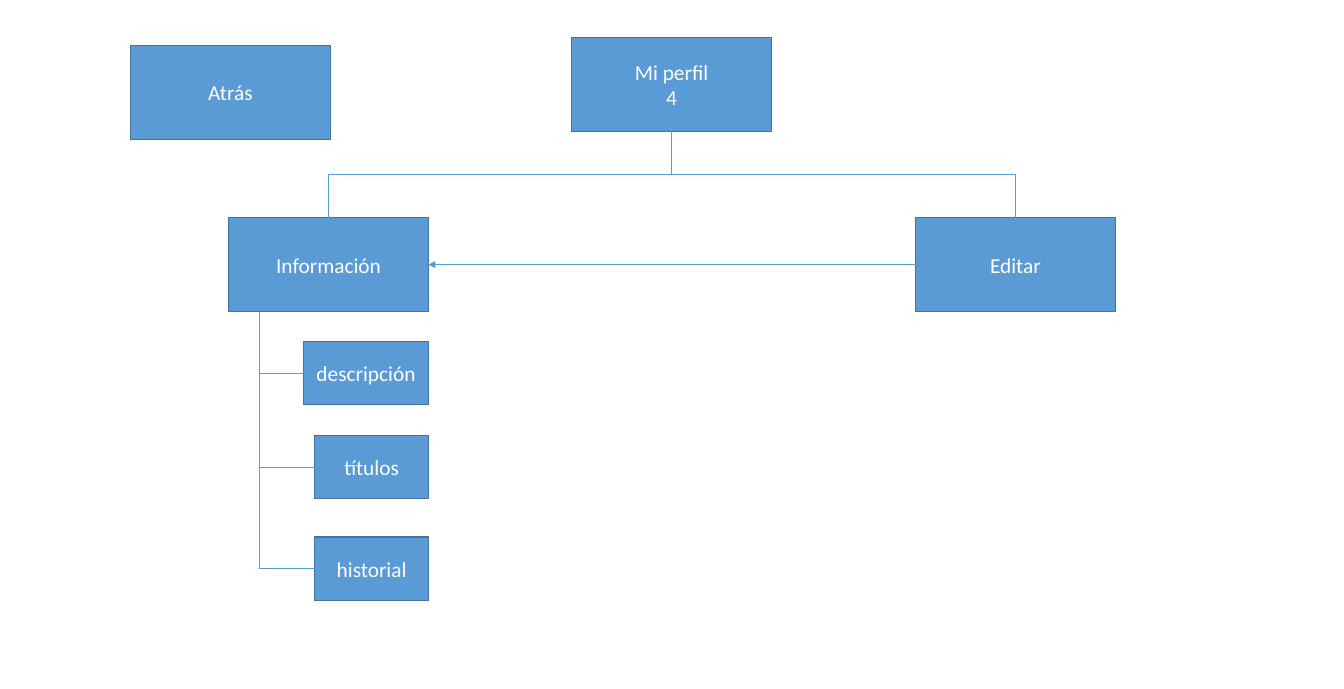
from lxml.etree import SubElement
from pptx import Presentation
from pptx.dml.color import RGBColor
from pptx.enum.shapes import MSO_CONNECTOR, MSO_SHAPE
from pptx.enum.text import MSO_ANCHOR, PP_ALIGN
from pptx.oxml.ns import qn
from pptx.util import Inches, Pt

COLOURS = {"fill": "5B9BD5", "border": "43739E", "text": "FFFFFF"}
TEXT_FORMAT = {"name": "Calibri", "size": Pt(18)}
TOP, BOTTOM_SITE, LEFT_SITE, RIGHT_SITE = 0, 2, 1, 3
SCREEN_SIZE = (2.34, 1.1)
DETAIL_RIGHT, DETAIL_HEIGHT = 5.02, 0.74
TRUNK_X = 3.04
DETAILS = [("descripción", 4, 1.46), ("títulos", 5.1, 1.33), ("historial", 6.29, 1.33)]


def colour(name):
    """Return the named colour."""
    return RGBColor.from_string(COLOURS[name])


def add_box(page, lines, left, top, width, height):
    """Add a blue box with centred lines of text."""
    box = page.shapes.add_shape(
        MSO_SHAPE.RECTANGLE, Inches(left), Inches(top), Inches(width), Inches(height))
    box.shadow.inherit = False
    box.fill.solid()
    box.fill.fore_color.rgb = colour("fill")
    box.line.color.rgb = colour("border")
    box.line.width = Pt(1)
    frame = box.text_frame
    frame.word_wrap = True
    frame.vertical_anchor = MSO_ANCHOR.MIDDLE
    for index, text in enumerate(lines):
        para = frame.add_paragraph() if index else frame.paragraphs[0]
        para.alignment = PP_ALIGN.CENTER
        span = para.add_run()
        span.text = text
        for key, value in TEXT_FORMAT.items():
            setattr(span.font, key, value)
        span.font.color.rgb = colour("text")
    return box


def add_link(page, left=0, top=0):
    """Add a thin elbow connector starting at a point."""
    x, y = Inches(left), Inches(top)
    link = page.shapes.add_connector(MSO_CONNECTOR.ELBOW, x, y, x, y)
    link.line.color.rgb = colour("fill")
    link.line.width = Pt(0.5)
    SubElement(link._element.spPr, qn("a:effectLst"))
    return link


def turn_downward(link):
    """Rotate a connector so that it leaves its start downward."""
    across, down = link.end_x - link.begin_x, link.end_y - link.begin_y
    middle_x, middle_y = link.begin_x + across // 2, link.begin_y + down // 2
    link.width, link.height = down, abs(across)
    link.left, link.top = middle_x - down // 2, middle_y - abs(across) // 2
    transform = link._element.spPr.find(qn("a:xfrm"))
    transform.set("rot", "16200000" if across > 0 else "5400000")
    transform.set("flipH", "1" if across > 0 else "0")


def link_child(page, parent, child):
    """Join the bottom of a parent to the top of its child."""
    link = add_link(page)
    link.begin_connect(parent, BOTTOM_SITE)
    link.end_connect(child, TOP)
    turn_downward(link)


def link_detail(page, parent_bottom, detail):
    """Join the trunk below a parent to the left side of a detail."""
    link = add_link(page, TRUNK_X, parent_bottom)
    link.end_connect(detail, LEFT_SITE)
    link._element.spPr.find(qn("a:prstGeom")).set("prst", "bentConnector2")
    turn_downward(link)


def link_arrow(page, source, target):
    """Draw an arrow from one box to the box on its left."""
    link = add_link(page)
    link.begin_connect(source, LEFT_SITE)
    link.end_connect(target, RIGHT_SITE)
    SubElement(link.line._get_or_add_ln(), qn("a:tailEnd"), type="triangle")


def main():
    """Build the profile screen map."""
    deck = Presentation()
    deck.slide_width, deck.slide_height = Inches(15.75), Inches(8.07)
    page = deck.slides.add_slide(deck.slide_layouts[6])

    profile = add_box(page, ["Mi perfil", "4"], 6.7, 0.44, *SCREEN_SIZE)
    information = add_box(page, ["Información"], 2.68, 2.55, *SCREEN_SIZE)
    edit = add_box(page, ["Editar"], 10.73, 2.55, *SCREEN_SIZE)
    add_box(page, ["Atrás"], 1.53, 0.53, *SCREEN_SIZE)

    link_arrow(page, edit, information)
    for child in (information, edit):
        link_child(page, profile, child)
    for name, top, width in DETAILS:
        detail = add_box(page, [name], DETAIL_RIGHT - width, top, width, DETAIL_HEIGHT)
        link_detail(page, 2.55 + SCREEN_SIZE[1], detail)

    deck.save("out.pptx")


if __name__ == "__main__":
    main()
